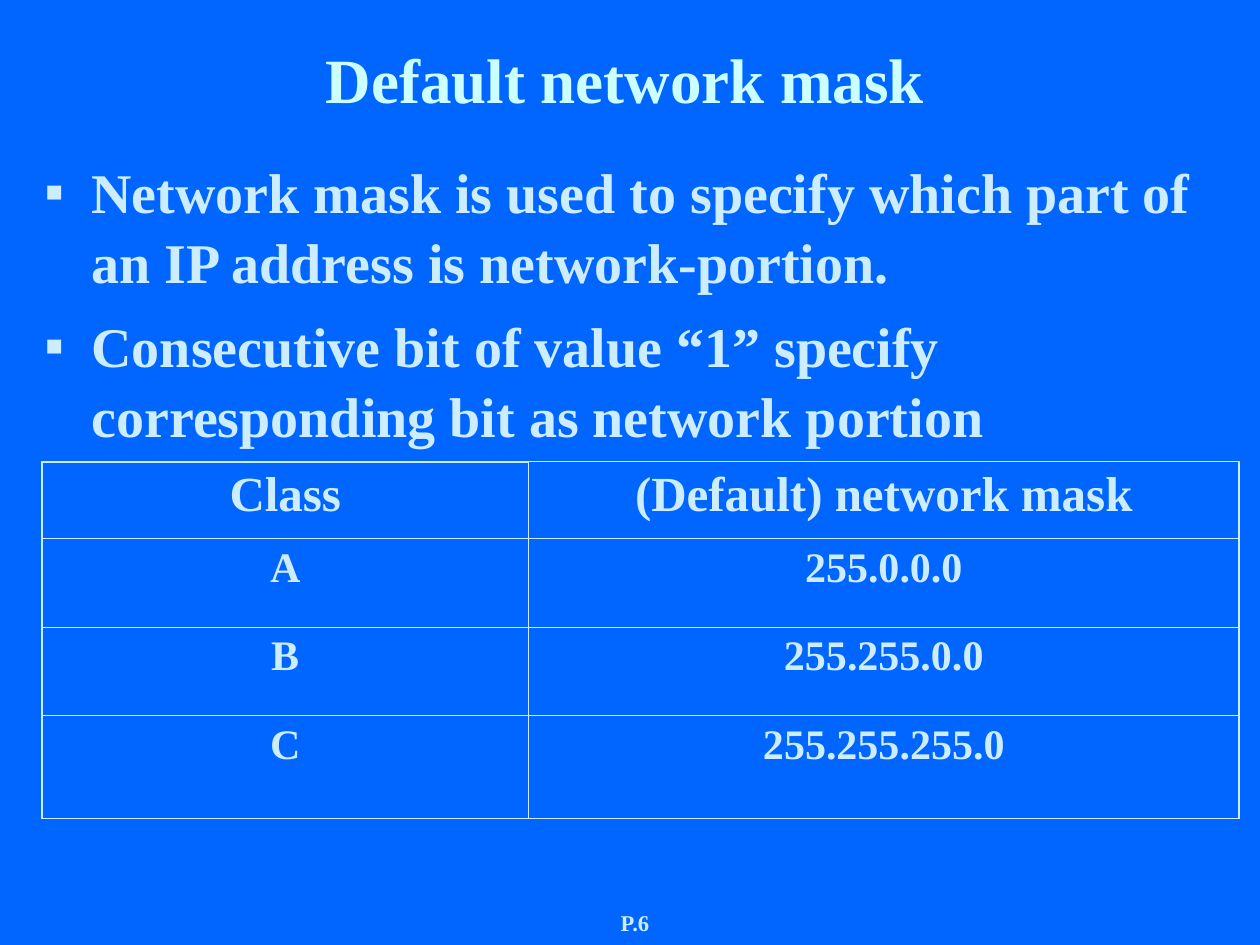
from lxml.etree import SubElement
from pptx import Presentation
from pptx.dml.color import RGBColor
from pptx.enum.text import MSO_ANCHOR, MSO_AUTO_SIZE, PP_ALIGN
from pptx.oxml.ns import qn
from pptx.util import Cm, Pt

COLORS = {"background": "0066FF", "title": "CCFFFF", "text": "CCECFF"}


class SlideBuilder:
    """Hold the slide style and add each kind of element to the page."""

    font = "Times New Roman"
    thin, thick = Pt(0.45), Pt(1.08)

    def __init__(self, page):
        self.page = page
        fill = page.background.fill
        fill.solid()
        fill.fore_color.rgb = RGBColor.from_string(COLORS["background"])

    def add_text(self, para, text, size, color="text", align=PP_ALIGN.CENTER, before=0):
        para.alignment = align
        para.space_before = Pt(before)
        span = para.add_run()
        span.text = text
        span.font.name = self.font
        span.font.size = Pt(size)
        span.font.bold = True
        span.font.color.rgb = RGBColor.from_string(COLORS[color])

    def place(self, box, left, top, width, height):
        box.left, box.top = Cm(left), Cm(top)
        box.width, box.height = Cm(width), Cm(height)
        frame = box.text_frame
        frame.word_wrap = True
        frame.auto_size = MSO_AUTO_SIZE.NONE
        return frame

    def title(self, text, *area):
        frame = self.place(self.page.shapes.title, *area)
        frame.vertical_anchor = MSO_ANCHOR.BOTTOM
        frame.margin_bottom = 0
        self.add_text(frame.paragraphs[0], text, 36, "title")

    def bullets(self, items, *area):
        frame = self.place(self.page.placeholders[1], *area)
        frame.vertical_anchor = MSO_ANCHOR.TOP
        frame.margin_top = Cm(0.17)
        for index, item in enumerate(items):
            para = frame.add_paragraph() if index else frame.paragraphs[0]
            para.line_spacing = 1.04
            self.add_text(para, item, 32, align=PP_ALIGN.LEFT, before=8)
            self.mark(para)

    def mark(self, para):
        properties = para._p.get_or_add_pPr()
        indent = Cm(0.95)
        properties.set("marL", str(indent))
        properties.set("indent", str(-indent))
        color = SubElement(properties, qn("a:buClr"))
        SubElement(color, qn("a:srgbClr"), val=COLORS["text"])
        SubElement(properties, qn("a:buFont"), typeface=self.font)
        SubElement(properties, qn("a:buChar"), char="▪")

    def label(self, text, *area):
        box = self.page.shapes.add_textbox(0, 0, 0, 0)
        frame = self.place(box, *area)
        self.add_text(frame.paragraphs[0], text, 12.9)

    def table(self, rows, left, top, widths, heights):
        table = self.page.shapes.add_table(
            len(rows), len(widths), Cm(left), Cm(top),
            Cm(sum(widths)), Cm(sum(heights))).table
        for column, width in zip(table.columns, widths):
            column.width = Cm(width)
        last_row, last_column = len(rows) - 1, len(widths) - 1
        for r, values in enumerate(rows):
            table.rows[r].height = Cm(heights[r])
            size, before = (24, 6) if r else (28, 7)
            for c, text in enumerate(values):
                cell = table.cell(r, c)
                self.add_text(cell.text_frame.paragraphs[0], text, size, before=before)
                self.borders(cell, {
                    "L": c == 0,
                    "R": c == last_column,
                    "T": r == c == 0,
                    "B": r == last_row,
                })
                cell.fill.background()

    def borders(self, cell, heavy_sides):
        properties = cell._tc.get_or_add_tcPr()
        for side, heavy in heavy_sides.items():
            width = self.thick if heavy else self.thin
            line = SubElement(properties, qn(f"a:ln{side}"), w=str(width))
            fill = SubElement(line, qn("a:solidFill"))
            SubElement(fill, qn("a:srgbClr"), val=COLORS["text"])


def main():
    deck = Presentation()
    deck.slide_width, deck.slide_height = Cm(25.4), Cm(19.05)
    builder = SlideBuilder(deck.slides.add_slide(deck.slide_layouts[1]))
    builder.label("P.6", 10.16, 18.2, 5.28, 0.85)
    builder.title("Default network mask", 0.64, 0.64, 23.92, 1.7)
    builder.bullets([
        "Network mask is used to specify which part of an IP address is network-portion.",
        "Consecutive bit of value “1” specify corresponding bit as network portion",
    ], 0.64, 2.96, 24.76, 13.97)
    builder.table([
        ("Class", "(Default) network mask"),
        ("A", "255.0.0.0"),
        ("B", "255.255.0.0"),
        ("C", "255.255.255.0"),
    ], 0.85, 9.31, (9.8, 14.33), (1.55, 1.78, 1.78, 2.08))
    deck.save("out.pptx")


if __name__ == "__main__":
    main()
